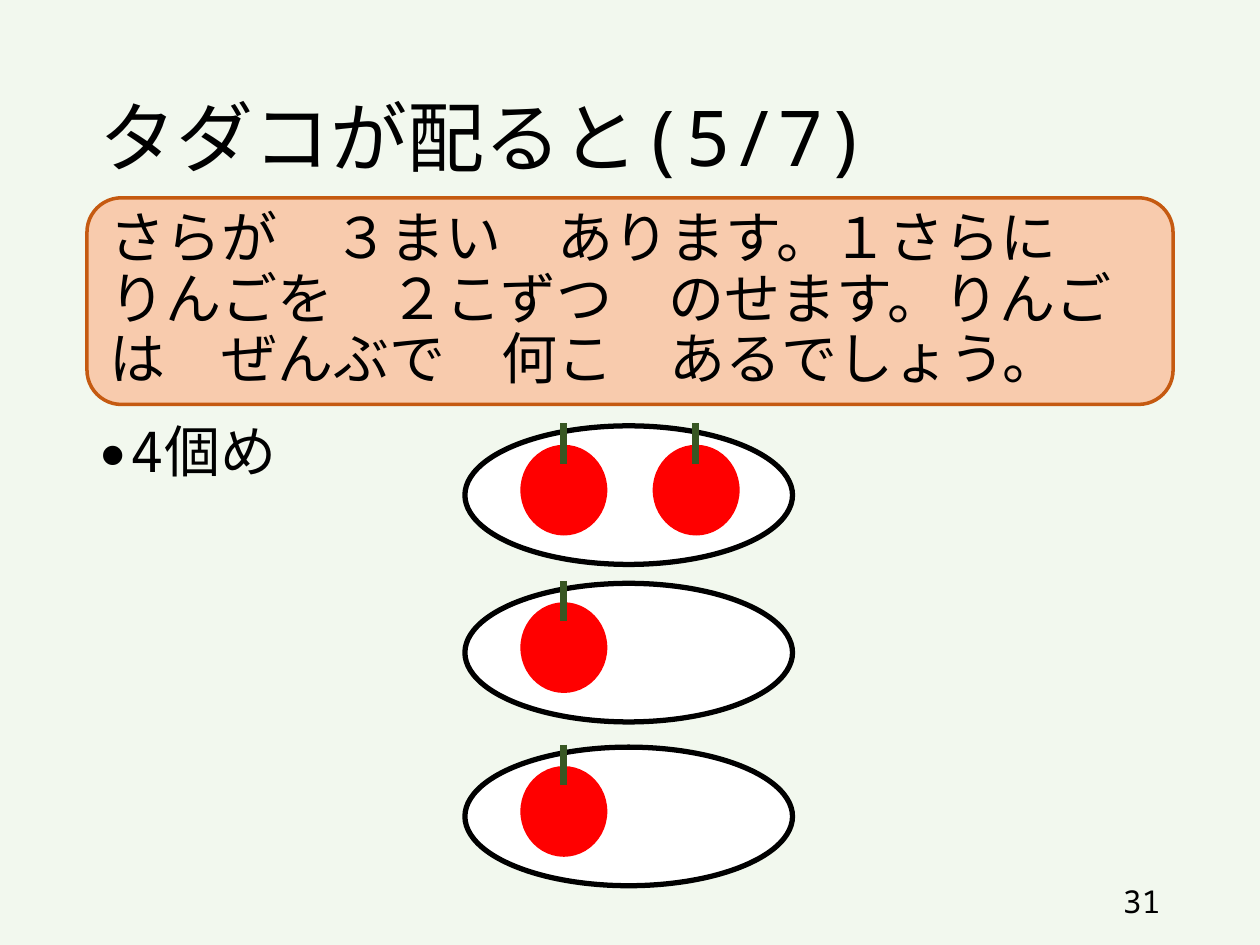
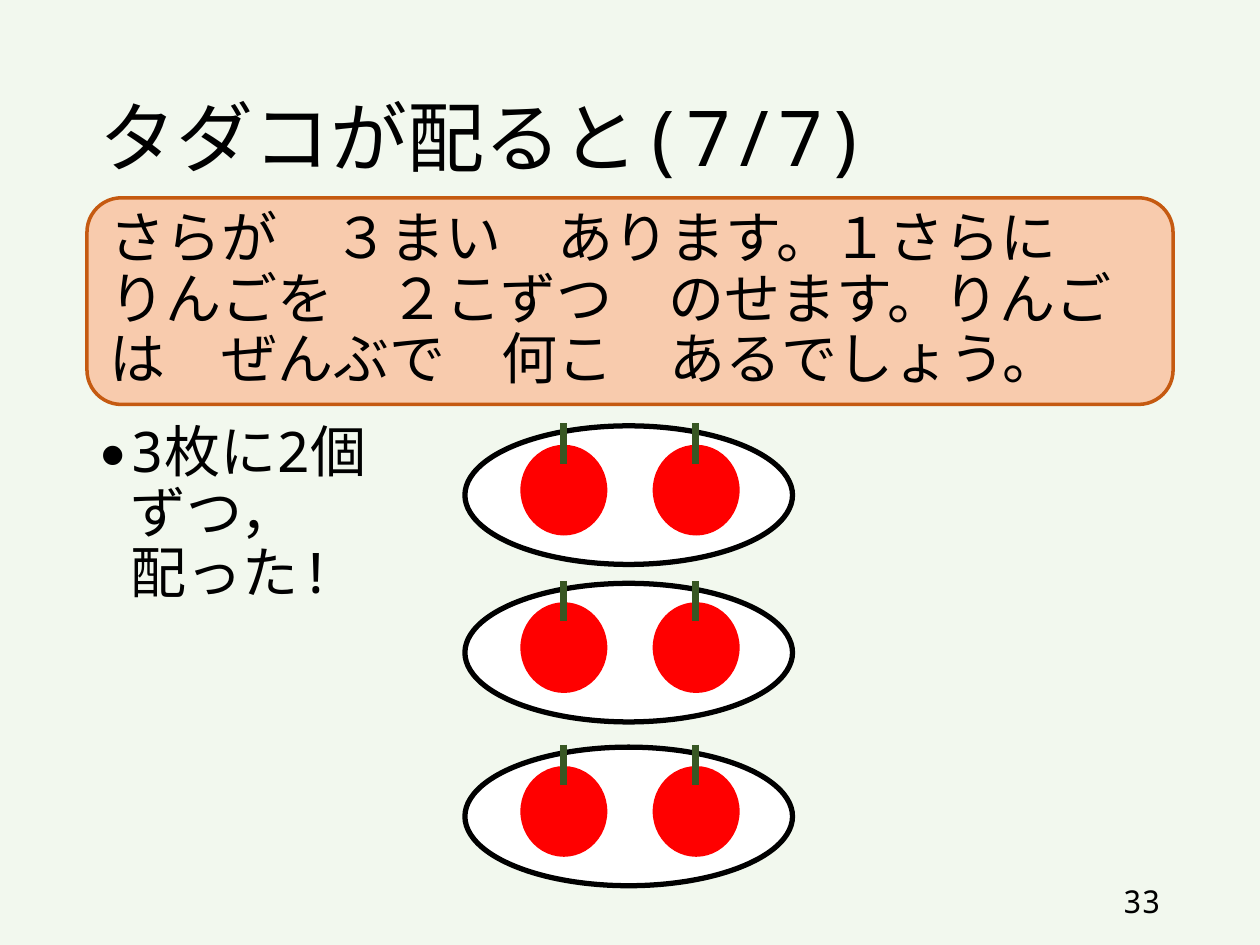
from dataclasses import dataclass

from lxml.etree import SubElement
from pptx import Presentation
from pptx.dml.color import RGBColor
from pptx.enum.shapes import MSO_CONNECTOR, MSO_SHAPE
from pptx.enum.text import MSO_ANCHOR, MSO_AUTO_SIZE, PP_ALIGN
from pptx.oxml.ns import qn
from pptx.util import Inches, Pt


@dataclass(frozen=True)
class Theme:
    font: str = "Noto Sans Mono"
    title_size: int = 44
    body_size: int = 32
    number_size: int = 18
    background: str = "F2F8EE"
    text: str = "000000"
    problem_fill: str = "F8CBAD"
    problem_line: str = "C55A11"
    plate_fill: str = "FFFFFF"
    plate_line: str = "000000"
    apple: str = "FF0000"
    stem: str = "385723"


THEME = Theme()

# Boxes: left, top, width, height in inches
TITLE_BOX = (0.69, 0.4, 8.62, 1.45)
PROBLEM_BOX = (0.69, 1.57, 8.62, 1.64)
BODY_BOX = (0.69, 3.32, 8.62, 3.43)
NUMBER_BOX = (7.06, 6.95, 2.25, 0.4)
PLATE_LEFT, PLATE_WIDTH, PLATE_HEIGHT = 3.69, 2.6, 1.1
PLATE_TOPS = (3.38, 4.63, 5.93)
APPLE_OFFSET, APPLE_PITCH = (0.44, 0.15), 1.05

PROBLEM = (
    "さらが　３まい　あります。１さらに　りんごを　２こずつ　のせます。"
    "りんごは　ぜんぶで　何こ　あるでしょう。"
)
BODY_FORMAT = {"line_spacing": 0.9, "space_before": Pt(10), "alignment": PP_ALIGN.LEFT}

# Title, body text, apples on each plate from top to bottom, slide number
SLIDES = (
    ("タダコが配ると(5/7)", "4個め", (2, 1, 1), "31"),
    ("タダコが配ると(7/7)", "3枚に2個\vずつ，\v配った!", (2, 2, 2), "33"),
)


def color(value):
    return RGBColor.from_string(value)


def set_attributes(target, values):
    for name, value in values.items():
        setattr(target, name, value)


def write(shape, text, size, paragraph_format, anchor=MSO_ANCHOR.MIDDLE):
    """Fill a shape with one formatted paragraph and return it."""
    frame = shape.text_frame
    set_attributes(frame, {"word_wrap": True, "auto_size": MSO_AUTO_SIZE.NONE,
                           "vertical_anchor": anchor})
    paragraph = frame.paragraphs[0]
    paragraph.text = text
    set_attributes(paragraph, paragraph_format)
    for run in paragraph.runs:
        set_attributes(run.font, {"name": THEME.font, "size": Pt(size)})
        run.font.color.rgb = color(THEME.text)
        east_asian = SubElement(run.font._element, qn("a:ea"))
        east_asian.set("typeface", THEME.font)
    return paragraph


def add_preset(shapes, preset, box, fill, line=None, line_width=0):
    shape = shapes.add_shape(preset, *map(Inches, box))
    shape.shadow.inherit = False
    shape.fill.solid()
    shape.fill.fore_color.rgb = color(fill)
    if line:
        shape.line.color.rgb = color(line)
        shape.line.width = Pt(line_width)
    else:
        shape.line.fill.background()
    return shape


def place_title(slide, text, box):
    title = slide.shapes.title
    set_attributes(title, dict(zip(("left", "top", "width", "height"), map(Inches, box))))
    write(title, text, THEME.title_size, {"line_spacing": 0.9, "alignment": PP_ALIGN.LEFT})


def add_number(slide, text, box):
    number = slide.shapes.add_textbox(*map(Inches, box))
    write(number, text, THEME.number_size, {"alignment": PP_ALIGN.RIGHT})


def add_problem(slide, box):
    panel = add_preset(slide.shapes, MSO_SHAPE.ROUNDED_RECTANGLE, box,
                       THEME.problem_fill, THEME.problem_line, 2)
    write(panel, PROBLEM, THEME.body_size, BODY_FORMAT)


def add_apple(slide, left, top):
    group = slide.shapes.add_group_shape()
    add_preset(group.shapes, MSO_SHAPE.OVAL, (left, top, 0.69, 0.72), THEME.apple)
    # Stem
    x, y = left + 0.34, top - 0.17
    stem = group.shapes.add_connector(MSO_CONNECTOR.STRAIGHT,
                                      *map(Inches, (x, y, x, y + 0.32)))
    stem.line.color.rgb = color(THEME.stem)
    stem.line.width = Pt(4)
    SubElement(stem._element.spPr, qn("a:effectLst"))


def add_plate(slide, box, apple_count):
    left, top = box[:2]
    add_preset(slide.shapes, MSO_SHAPE.OVAL, box, THEME.plate_fill, THEME.plate_line, 3)
    for index in range(apple_count):
        add_apple(slide, left + APPLE_OFFSET[0] + index * APPLE_PITCH, top + APPLE_OFFSET[1])


def add_body(slide, text, box):
    body = slide.shapes.add_textbox(*map(Inches, box))
    paragraph = write(body, text, THEME.body_size, BODY_FORMAT, MSO_ANCHOR.TOP)
    # Hanging bullet
    properties = paragraph._p.get_or_add_pPr()
    properties.set("marL", str(Inches(0.25)))
    properties.set("indent", str(Inches(-0.25)))
    SubElement(properties, qn("a:buSzPct")).set("val", "80000")
    SubElement(properties, qn("a:buFont")).set("typeface", THEME.font)
    SubElement(properties, qn("a:buChar")).set("char", "●")


def add_sharing_slide(presentation, title, body, apple_counts, number):
    slide = presentation.slides.add_slide(presentation.slide_layouts[5])
    place_title(slide, title, TITLE_BOX)
    add_number(slide, number, NUMBER_BOX)
    add_problem(slide, PROBLEM_BOX)
    for top, apple_count in zip(PLATE_TOPS, apple_counts):
        add_plate(slide, (PLATE_LEFT, top, PLATE_WIDTH, PLATE_HEIGHT), apple_count)
    add_body(slide, body, BODY_BOX)


def main():
    presentation = Presentation()
    set_attributes(presentation, {"slide_width": Inches(10), "slide_height": Inches(7.5)})
    # Shared background
    background = presentation.slide_master.background.fill
    background.solid()
    background.fore_color.rgb = color(THEME.background)
    for content in SLIDES:
        add_sharing_slide(presentation, *content)
    presentation.save("out.pptx")


if __name__ == "__main__":
    main()
